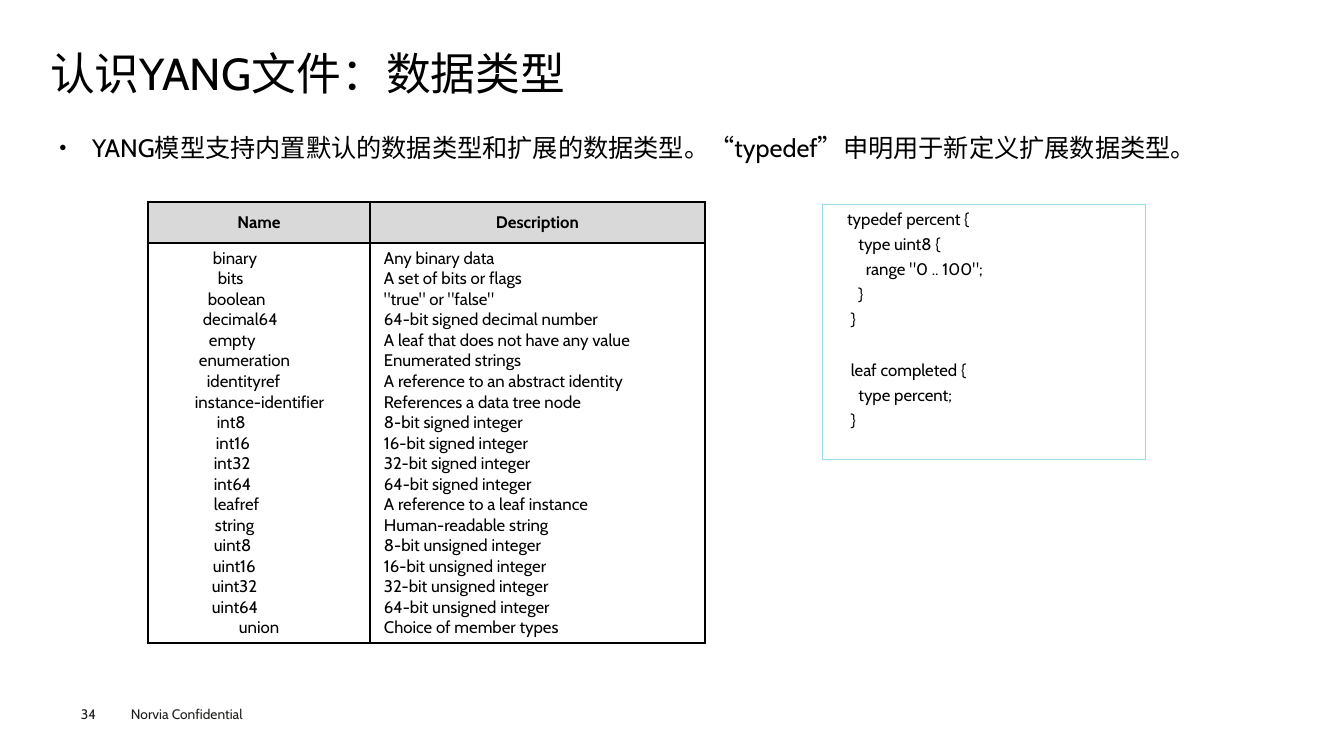
import pptx
import pptx.util
import pptx.dml.color
import pptx.enum.shapes
import pptx.enum.text
import pptx.oxml
import pptx.oxml.ns

PX = 914400 / 100.8
COLORS = {"ink": "000000", "foot": "1D1D1B", "head": "D9D9D9", "edge": "94DAE2"}
ALIGN = pptx.enum.text.PP_ALIGN
ANCHOR = pptx.enum.text.MSO_ANCHOR
NS = pptx.oxml.ns.nsdecls("a")

# name, its left indent in px, description
TYPES = [
    ("binary", 55, "Any binary data"),
    ("bits", 60, "A set of bits or flags"),
    ("boolean", 50, '"true" or "false"'),
    ("decimal64", 45, "64-bit signed decimal number"),
    ("empty", 51, "A leaf that does not have any value"),
    ("enumeration", 41, "Enumerated strings"),
    ("identityref", 49, "A reference to an abstract identity"),
    ("instance-identifier", 37, "References a data tree node"),
    ("int8", 59, "8-bit signed integer"),
    ("int16", 58, "16-bit signed integer"),
    ("int32", 56, "32-bit signed integer"),
    ("int64", 56, "64-bit signed integer"),
    ("leafref", 56, "A reference to a leaf instance"),
    ("string", 57, "Human-readable string"),
    ("uint8", 56, "8-bit unsigned integer"),
    ("uint16", 55, "16-bit unsigned integer"),
    ("uint32", 54, "32-bit unsigned integer"),
    ("uint64", 54, "64-bit unsigned integer"),
    ("union", 81, "Choice of member types"),
]
# line, space before in points
CODE = [
    ("    typedef percent {", 0),
    ("       type uint8 {", 3.5),
    ('         range "0 .. 100";', 3.5),
    ("       }", 3.5),
    ("     }", 3.5),
    ("     leaf completed {", 21.6),
    ("       type percent;", 3.5),
    ("     }", 3.5),
]


def px(size):
    return pptx.util.Emu(round(size * PX))


def rgb(name):
    return pptx.dml.color.RGBColor.from_string(COLORS[name])


def apply(obj, **values):
    for key, value in values.items():
        setattr(obj, key, value)


def indent(props, left, first):
    props.set("marL", str(px(left)))
    props.set("indent", str(px(first)))


class Deck:
    font = "Cabin"

    def __init__(self, wide, high):
        self.show = pptx.Presentation()
        apply(self.show, slide_width=px(wide), slide_height=px(high))
        self.slide = self.show.slides.add_slide(self.show.slide_layouts[1])

    def put(self, para, text, size=12, color="ink", bold=False, **form):
        apply(para, **form)
        run = para.add_run()
        run.text = text
        apply(run.font, name=self.font, size=pptx.util.Pt(size), bold=bold)
        run.font.color.rgb = rgb(color)

    def lines(self, frame, count):
        """Yield the first paragraph and as many new ones as needed."""
        yield frame.paragraphs[0]
        for _ in range(count - 1):
            yield frame.add_paragraph()

    def frame(self, shape, side=0, top=0, anchor=ANCHOR.TOP):
        frame = shape.text_frame
        apply(frame, word_wrap=True, auto_size=pptx.enum.text.MSO_AUTO_SIZE.NONE,
              vertical_anchor=anchor, margin_left=px(side), margin_right=px(side),
              margin_top=px(top), margin_bottom=px(top))
        return frame

    def holder(self, index, left, top, width, height):
        shape = self.slide.placeholders[index]
        apply(shape, left=px(left), top=px(top), width=px(width), height=px(height))
        return shape

    def title(self, text, *box):
        frame = self.frame(self.holder(0, *box), anchor=ANCHOR.MIDDLE)
        self.put(frame.paragraphs[0], text, 32, alignment=ALIGN.LEFT, line_spacing=0.9)

    def bullet(self, text, *box):
        para = self.frame(self.holder(1, *box), 9, 4).paragraphs[0]
        props = para._p.get_or_add_pPr()
        indent(props, 33, -33)
        for tag in ('buSzPct val="50000"', 'buFont typeface="Arial"', 'buChar char="●"'):
            name, value = tag.split(" ")
            props.append(pptx.oxml.parse_xml(f"<a:{name} {NS} {value}/>"))
        self.put(para, text, 18, alignment=ALIGN.JUSTIFY, line_spacing=1.4,
                 space_before=pptx.util.Pt(0))

    def label(self, text, box, side=0, top=0):
        shape = self.slide.shapes.add_textbox(*map(px, box))
        self.put(self.frame(shape, side, top).paragraphs[0], text, 9.8, "foot")

    def code(self, rows, *box):
        kind = pptx.enum.shapes.MSO_SHAPE.RECTANGLE
        shape = self.slide.shapes.add_shape(kind, *map(px, box))
        shape.shadow.inherit = False
        shape.fill.background()
        shape.line.color.rgb = rgb("edge")
        shape.line.width = pptx.util.Pt(0.75)
        frame = self.frame(shape, 9, 4)
        for para, (text, gap) in zip(self.lines(frame, len(rows)), rows):
            self.put(para, text, alignment=ALIGN.JUSTIFY, space_before=pptx.util.Pt(gap))

    def border(self, cell, row, col):
        """Draw thick outer and thin inner edges of a two by two table."""
        props = cell._tc.get_or_add_tcPr()
        outer = {"L": col == 0, "R": col == 1, "T": row == 0, "B": row == 1}
        for spot, (side, thick) in enumerate(outer.items()):
            width = pptx.util.Pt(2.25 if thick else 1)
            props.insert(spot, pptx.oxml.parse_xml(
                f'<a:ln{side} {NS} w="{width}"><a:solidFill>'
                f'<a:srgbClr val="{COLORS["ink"]}"/></a:solidFill></a:ln{side}>'))

    def table(self, heads, rows, left, top, widths, heights):
        box = (left, top, sum(widths), sum(heights))
        table = self.slide.shapes.add_table(2, 2, *map(px, box)).table
        apply(table, first_row=False, horz_banding=False)
        for col, wide in zip(table.columns, widths):
            col.width = px(wide)
        for row, high in zip(table.rows, heights):
            row.height = px(high)
        for col, head in enumerate(heads):
            cell = table.cell(0, col)
            cell.fill.solid()
            cell.fill.fore_color.rgb = rgb("head")
            self.put(cell.text_frame.paragraphs[0], head, bold=True, alignment=ALIGN.CENTER)
            table.cell(1, col).fill.background()
            for row in range(2):
                cell = table.cell(row, col)
                apply(cell, vertical_anchor=ANCHOR.MIDDLE, margin_left=px(10), margin_right=px(10))
                self.border(cell, row, col)
        names, notes = table.cell(1, 0), table.cell(1, 1)
        notes.margin_left = px(14)
        pairs = zip(self.lines(names.text_frame, len(rows)),
                    self.lines(notes.text_frame, len(rows)), rows)
        for first, last, (name, shift, note) in pairs:
            indent(first._p.get_or_add_pPr(), shift, 0)
            self.put(first, name, alignment=ALIGN.LEFT)
            self.put(last, note, alignment=ALIGN.LEFT)


def main():
    deck = Deck(1344, 756)
    deck.title("认识YANG文件：数据类型", 50, 49, 1245, 53)
    deck.bullet("YANG模型支持内置默认的数据类型和扩展的数据类型。“typedef”申明用于新定义扩展数据类型。",
                50, 116, 1245, 538)
    deck.code(CODE, 823, 205, 323, 255)
    deck.table(("Name", "Description"), TYPES, 148, 202, (222, 335), (41, 400))
    deck.label("34", (81, 706, 55, 16))
    deck.label("Norvia Confidential", (121, 701, 161, 27), 10, 5)
    deck.show.save("out.pptx")


if __name__ == "__main__":
    main()
